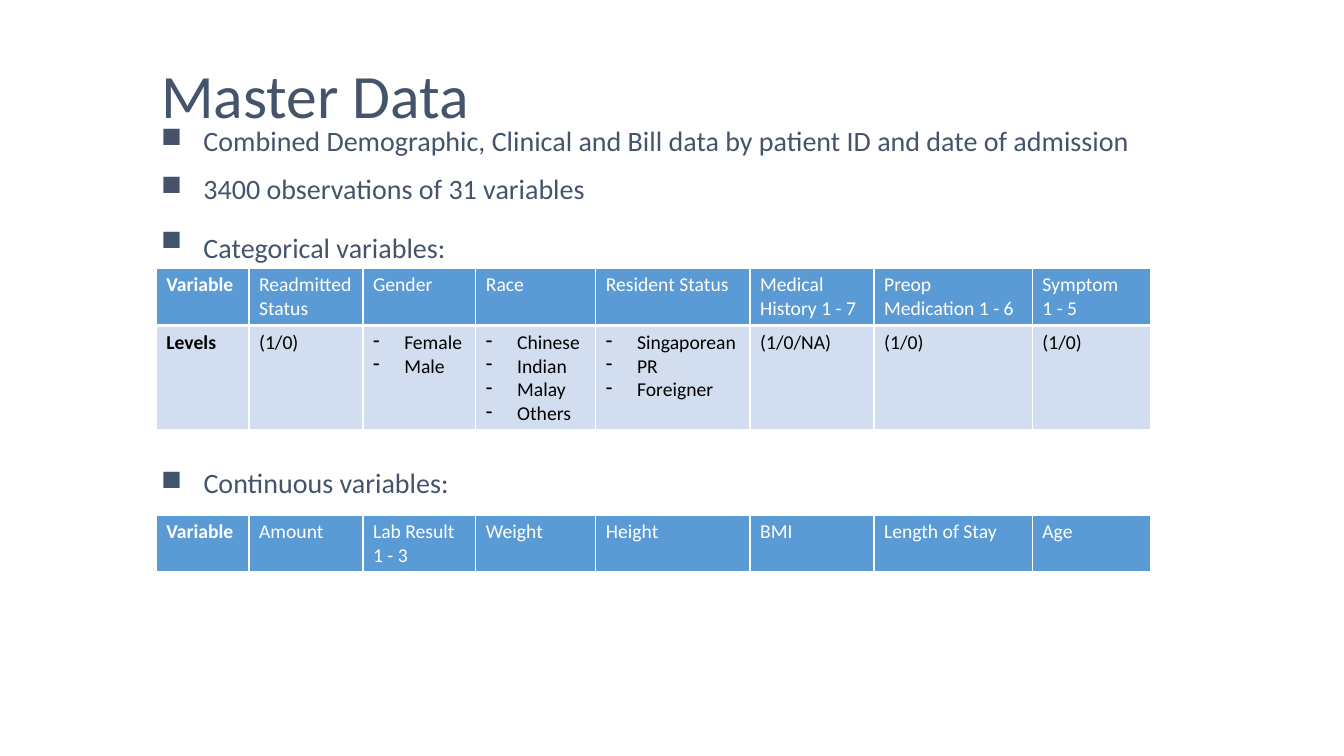
from lxml import etree
from pptx import Presentation, util as u
from pptx.dml.color import RGBColor
from pptx.enum import text
from pptx.oxml import ns

PX = 9144  # 100 px to the inch
COLORS = {"slate": "44546A", "header": "5B9BD5", "body": "D2DEEF",
          "white": "FFFFFF", "black": "000000"}


def write(frame, lines, size, color, bold=False, bullet=None, indent=0,
          line=None, before=0, after=0):
    frame.word_wrap = True
    for i, content in enumerate(lines):
        para = frame.paragraphs[0] if i == 0 else frame.add_paragraph()
        para.line_spacing = line
        para.space_before, para.space_after = u.Pt(before), u.Pt(after)
        run = para.add_run()
        run.text = content
        run.font.name, run.font.size, run.font.bold = "Calibri", u.Pt(size), bold
        run.font.color.rgb = RGBColor.from_string(COLORS[color])
        if bullet:
            props = para._p.get_or_add_pPr()
            props.set("marL", str(indent * PX))
            props.set("indent", str(-indent * PX))
            etree.SubElement(props, ns.qn("a:buChar")).set("char", bullet)


def add_border(cell, side, points):
    props = cell._tc.get_or_add_tcPr()
    edge = etree.SubElement(props, ns.qn(f"a:{side}"), w=str(u.Pt(points)))
    fill = etree.SubElement(edge, ns.qn("a:solidFill"))
    etree.SubElement(fill, ns.qn("a:srgbClr"), val=COLORS["white"])


deck = Presentation()
deck.slide_width, deck.slide_height = 1333 * PX, 750 * PX
slide = deck.slides.add_slide(deck.slide_layouts[6])

# Title and bullet points
bullet_format = dict(size=20, color="slate", bullet="■", indent=42,
                     line=0.94, before=10, after=2)
title_format = dict(size=44, color="slate", line=0.89)
summary = ["Combined Demographic, Clinical and Bill data by patient ID and date of admission",
           "3400 observations of 31 variables",
           "Categorical variables:"]
text_blocks = [
    ((150, 120, 1050, 392), summary, bullet_format),
    ((150, 17, 1050, 162), ["Master Data"], title_format),
    ((150, 460, 345, 81), ["Continuous variables:"], bullet_format),
]
frames = []
for place, lines, style in text_blocks:
    frame = slide.shapes.add_textbox(*(v * PX for v in place)).text_frame
    write(frame, lines, **style)
    frames.append(frame)
summary_frame, title_frame, _ = frames
title_frame.vertical_anchor = text.MSO_ANCHOR.MIDDLE

# A larger closing space makes the last summary line taller
closing = summary_frame.paragraphs[-1].add_run()
closing.text = " "
closing.font.name, closing.font.size = "Calibri", u.Pt(28)

# Tables of variables: a cell is a list of lines
column_widths = [92, 113, 112, 119, 153, 123, 157, 117]
categorical = [
    [["Variable"], ["Readmitted Status"], ["Gender"], ["Race"], ["Resident Status"],
     ["Medical History 1 - 7"], ["Preop Medication 1 - 6"], ["Symptom", "1 - 5"]],
    [["Levels"], ["(1/0)"], ["Female", "Male"],
     ["Chinese", "Indian", "Malay", "Others"],
     ["Singaporean", "PR", "Foreigner"], ["(1/0/NA)"], ["(1/0)"], ["(1/0)"]],
]
continuous = [
    [["Variable"], ["Amount"], ["Lab Result 1 - 3"], ["Weight"], ["Height"],
     ["BMI"], ["Length of Stay"], ["Age"]],
]
row_heights = [57, 103]

for top, rows in [(266, categorical), (511, continuous)]:
    heights = row_heights[:len(rows)]
    table = slide.shapes.add_table(
        len(rows), len(column_widths), 155 * PX, top * PX,
        sum(column_widths) * PX, sum(heights) * PX).table
    for column, width in zip(table.columns, column_widths):
        column.width = width * PX
    for r, (row, height) in enumerate(zip(rows, heights)):
        table.rows[r].height = height * PX
        for c, lines in enumerate(row):
            cell = table.cell(r, c)
            is_header = r == 0
            is_list = not is_header and len(lines) > 1
            write(cell.text_frame, lines, 14, "white" if is_header else "black",
                  bold=c == 0, bullet="-" if is_list else None, indent=31)
            for side in ("lnL", "lnR", "lnT", "lnB"):
                thick = (is_header and side == "lnB") or (r == 1 and side == "lnT")
                add_border(cell, side, 3 if thick else 1)
            cell.fill.solid()
            cell.fill.fore_color.rgb = RGBColor.from_string(
                COLORS["header" if is_header else "body"])

deck.save("out.pptx")
